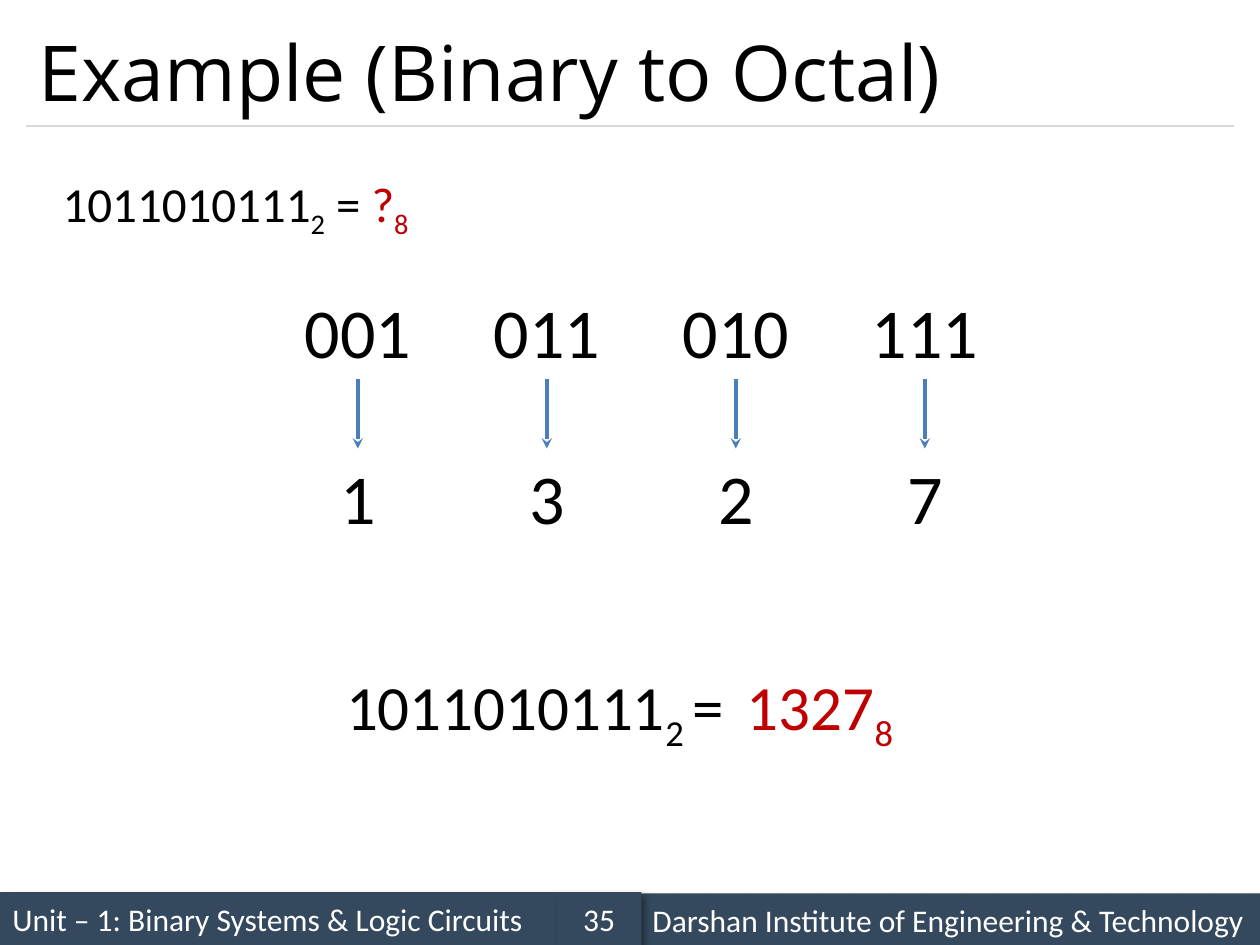
from dataclasses import dataclass

from lxml import etree
from pptx import Presentation
from pptx.dml.color import RGBColor
from pptx.enum.shapes import MSO_CONNECTOR, MSO_SHAPE
from pptx.enum.text import MSO_ANCHOR, PP_ALIGN
from pptx.oxml.ns import qn
from pptx.util import Inches, Pt

LEFT, CENTER = PP_ALIGN.LEFT, PP_ALIGN.CENTER
TOP, MIDDLE = MSO_ANCHOR.TOP, MSO_ANCHOR.MIDDLE
RECT, STRAIGHT = MSO_SHAPE.RECTANGLE, MSO_CONNECTOR.STRAIGHT

BLACK, WHITE, RED = "000000", "FFFFFF", "C00000"
NAVY, BLUE, GREY = "34495E", "4B7EBC", "D9D9D9"


@dataclass
class Box:
    left: float
    top: float
    width: float
    height: float


@dataclass
class Run:
    text: str
    color: str = BLACK
    sub: bool = False


@dataclass
class Group:
    bits: str
    digit: str


def rgb(value: str) -> RGBColor:
    return RGBColor.from_string(value)


def place(box: Box) -> list:
    return [Inches(v) for v in (box.left, box.top, box.width, box.height)]


def write(sp, runs: list[Run], size: float, align=CENTER, anchor=TOP,
          font: str = "Calibri") -> None:
    tf = sp.text_frame
    tf.word_wrap = True
    tf.vertical_anchor = anchor
    p = tf.paragraphs[0]
    p.alignment = align
    for run in runs:
        r = p.add_run()
        r.text = run.text
        for name, value in {"name": font, "size": Pt(size)}.items():
            setattr(r.font, name, value)
        r.font.color.rgb = rgb(run.color)
        if run.sub:
            r._r.get_or_add_rPr().set("baseline", "-25000")


def add_text(s, box: Box, runs: list[Run], size: float, **layout) -> None:
    write(s.shapes.add_textbox(*place(box)), runs, size, **layout)


def add_bar(s, box: Box, text: str, align=LEFT) -> None:
    sp = s.shapes.add_shape(RECT, *place(box))
    sp.fill.solid()
    sp.fill.fore_color.rgb = rgb(NAVY)
    sp.line.fill.background()
    sp.shadow.inherit = False
    # Soft shadow towards the lower right
    effects = sp._element.spPr.find(qn("a:effectLst"))
    shadow = etree.SubElement(effects, qn("a:outerShdw"), blurRad=str(Pt(4)),
                              dist=str(Pt(3)), dir="2700000", algn="tl")
    color = etree.SubElement(shadow, qn("a:srgbClr"), val=BLACK)
    etree.SubElement(color, qn("a:alpha"), val="40000")
    write(sp, [Run(text, WHITE)], 18, align=align, anchor=MIDDLE)


def add_line(s, x1: float, y1: float, x2: float, y2: float, color: str,
             width: float, arrow: bool = False) -> None:
    ln = s.shapes.add_connector(STRAIGHT, *map(Inches, (x1, y1, x2, y2)))
    ln.line.color.rgb = rgb(color)
    ln.line.width = Pt(width)
    etree.SubElement(ln._element.spPr, qn("a:effectLst"))
    if arrow:
        etree.SubElement(ln.line._get_or_add_ln(), qn("a:tailEnd"), type="stealth")


def main() -> None:
    prs = Presentation()
    prs.slide_width, prs.slide_height = Inches(10), Inches(7.5)
    s = prs.slides.add_slide(prs.slide_layouts[6])

    # Footer
    add_bar(s, Box(0, 7.08, 4.42, 0.42), "Unit – 1: Binary Systems & Logic Circuits")
    add_bar(s, Box(5.08, 7.09, 4.92, 0.42),
            "Darshan Institute of Engineering & Technology")
    add_bar(s, Box(4.42, 7.08, 0.67, 0.42), "35", CENTER)

    # Title and rule
    add_line(s, 0.21, 1, 9.79, 1, GREY, 0.75)
    add_text(s, Box(0.21, 0.12, 9.58, 0.88), [Run("Example (Binary to Octal)")], 44,
             align=LEFT, anchor=MIDDLE, font="Open Sans")

    # Question
    add_text(s, Box(0.33, 1.33, 3.08, 0.57),
             [Run("1011010111"), Run("2", sub=True), Run(" = "),
              Run("?", RED), Run("8", RED, True)], 28)

    # Three-bit groups and their octal digits
    groups = [Group("001", "1"), Group("011", "3"), Group("010", "2"), Group("111", "7")]
    first_x, pitch = 2.84, 1.5
    for i, group in enumerate(groups):
        x = first_x + i * pitch
        add_text(s, Box(x - 0.57, 2.24, 1.14, 0.77), [Run(group.bits)], 40)
        add_line(s, x, 3.01, x, 3.56, BLUE, 2, arrow=True)
        add_text(s, Box(x - 0.35, 3.56, 0.7, 0.77), [Run(group.digit)], 40)

    # Answer
    add_text(s, Box(2.58, 5.25, 3.33, 0.71),
             [Run("1011010111"), Run("2 ", sub=True), Run("=")], 36)
    add_text(s, Box(5.83, 5.25, 1.5, 0.71),
             [Run("1327", RED), Run("8", RED, True)], 36, align=LEFT)

    prs.save("out.pptx")


if __name__ == "__main__":
    main()
